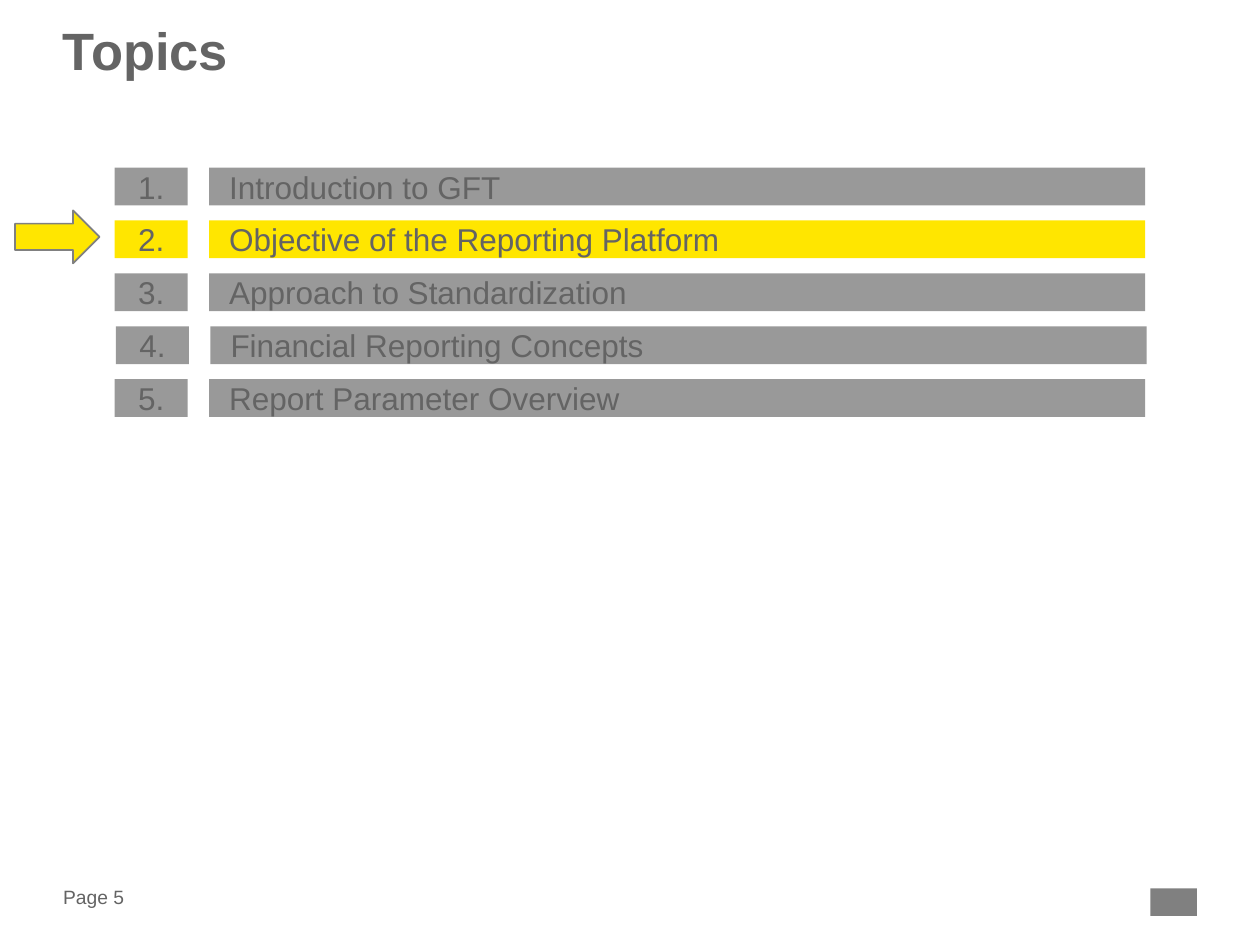
from pptx import Presentation
from pptx import util as u
from pptx.dml.color import RGBColor
from pptx.enum import shapes, text

COLORS = {"text": "646464", "bar": "999999", "active": "FFE600", "outline": "808080"}
TOPICS = [
    "Introduction to GFT",
    "Objective of the Reporting Platform",
    "Approach to Standardization",
    "Financial Reporting Concepts",
    "Report Parameter Overview",
]
CURRENT_TOPIC = 2
NUDGES = {4: 0.01}  # the fourth row sits slightly to the right
FIRST_TOP, ROW_STEP, BAR_HEIGHT = 1.33, 0.42, 0.3


def color(name):
    return RGBColor.from_string(COLORS[name])


class SlideBuilder:
    font_name = "Arial"

    def __init__(self, page):
        self.page = page

    def set_text(self, shape, words, size, inset=(0, 0), align="LEFT", anchor="MIDDLE",
                 bold=False, spacing=None):
        """Fill a shape with one paragraph; inset is (horizontal, vertical) in inches."""
        frame = shape.text_frame
        across, down = map(u.Inches, inset)
        frame_format = {
            "word_wrap": True,
            "vertical_anchor": getattr(text.MSO_ANCHOR, anchor),
            "margin_left": across, "margin_right": across,
            "margin_top": down, "margin_bottom": down,
        }
        for name, value in frame_format.items():
            setattr(frame, name, value)
        para = frame.paragraphs[0]
        para.alignment = getattr(text.PP_ALIGN, align)
        para.line_spacing = spacing
        span = para.add_run()
        span.text = words
        font_format = {"name": self.font_name, "size": u.Pt(size), "bold": bold}
        for name, value in font_format.items():
            setattr(span.font, name, value)
        span.font.color.rgb = color("text")

    def label(self, place, words, size, **style):
        box = self.page.shapes.add_textbox(*map(u.Inches, place))
        self.set_text(box, words, size, **style)

    def shape(self, kind, place, fill, line=None):
        shape = self.page.shapes.add_shape(kind, *map(u.Inches, place))
        shape.shadow.inherit = False
        shape.fill.solid()
        shape.fill.fore_color.rgb = color(fill)
        if line:
            shape.line.color.rgb = color(line)
            shape.line.width = u.Pt(1)
        else:
            shape.line.fill.background()
        return shape

    def bar(self, place, words, fill, **style):
        bar = self.shape(shapes.MSO_SHAPE.RECTANGLE, place, fill)
        self.set_text(bar, words, 18, **style)

    def topic(self, number, words):
        top = FIRST_TOP + (number - 1) * ROW_STEP
        nudge = NUDGES.get(number, 0)
        fill = "active" if number == CURRENT_TOPIC else "bar"
        self.bar((0.91 + nudge, top, 0.58, BAR_HEIGHT), f"{number}.", fill,
                 inset=(0.09, 0.04), align="CENTER")
        self.bar((1.66 + nudge, top, 7.43, BAR_HEIGHT), words, fill, inset=(0.16, 0.04))


def main():
    deck = Presentation()
    deck.slide_width, deck.slide_height = u.Inches(10), u.Inches(7.5)
    builder = SlideBuilder(deck.slides.add_slide(deck.slide_layouts[6]))

    builder.label((0.5, 7.01, 0.79, 0.22), "Page 5", 11)
    builder.shape(shapes.MSO_SHAPE.RECTANGLE, (9.13, 7.05, 0.37, 0.22), "outline")
    builder.label((0.5, 0.22, 9, 0.94), "Topics", 30, anchor="TOP", bold=True, spacing=0.85)
    builder.shape(shapes.MSO_SHAPE.RIGHT_ARROW, (0.12, 1.67, 0.67, 0.42), "active", "outline")
    for number, words in enumerate(TOPICS, start=1):
        builder.topic(number, words)

    deck.save("out.pptx")


if __name__ == "__main__":
    main()
